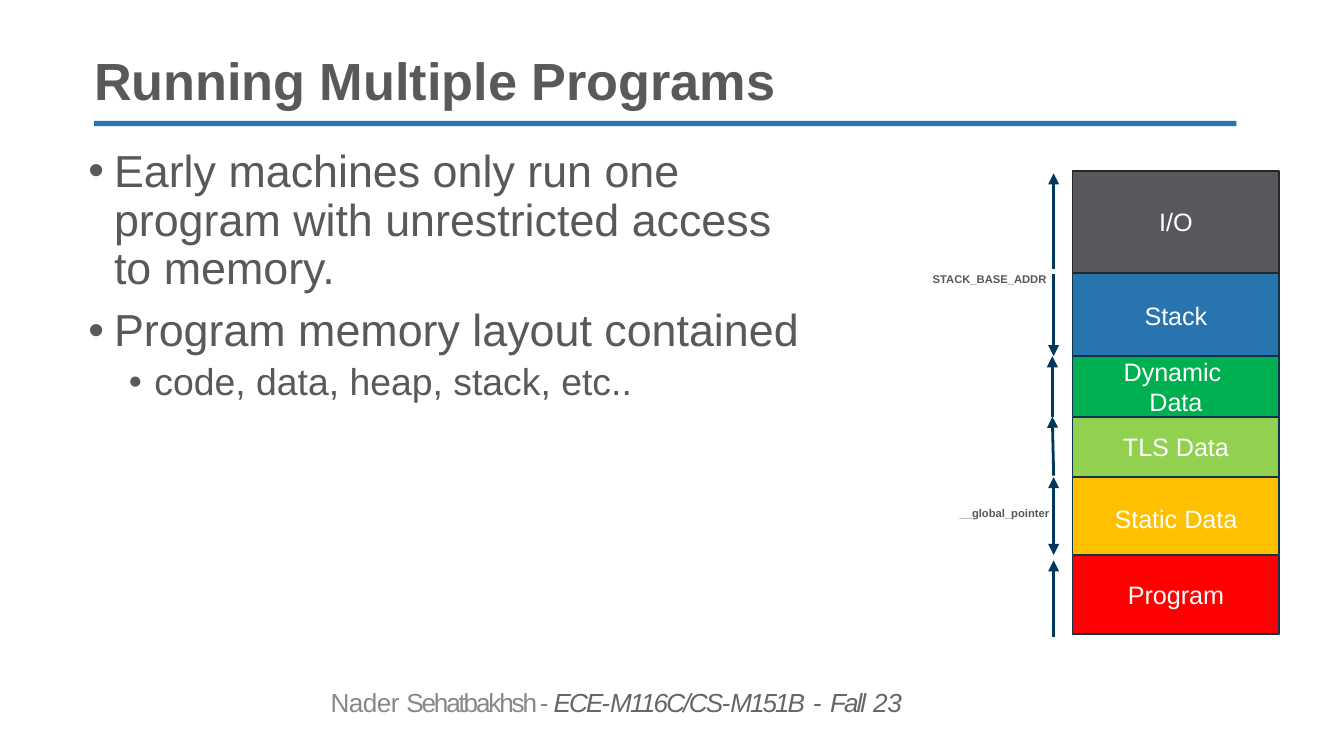
"""Build a slide on running multiple programs with a memory layout diagram."""
from typing import NamedTuple

from lxml.etree import SubElement
from pptx import Presentation
from pptx.dml.color import RGBColor
from pptx.enum.shapes import MSO_CONNECTOR, MSO_SHAPE
from pptx.enum.text import MSO_ANCHOR, MSO_AUTO_SIZE, PP_ALIGN
from pptx.oxml.ns import qn
from pptx.util import Inches, Pt

COLORS = {
    "text": "58595B", "label": "57585B", "author": "888888", "course": "666666",
    "white": "FFFFFF", "blue": "2774AE", "green": "00B050", "lime": "92D050",
    "amber": "FFC000", "red": "FF0000", "border": "11334C", "io_border": "262728",
    "arrow": "00375B",
}
FONT = "Arial"
REGION_LEFT, REGION_WIDTH = 7.98, 1.54


class Region(NamedTuple):
    """A block of memory in the layout."""
    lines: tuple[str, ...]
    top: float
    height: float
    fill: str
    border: str = "border"


class Arrow(NamedTuple):
    """A growth arrow beside the layout."""
    start: tuple[float, float]
    end: tuple[float, float]
    double: bool = False


class Bullet(NamedTuple):
    """A bulleted statement."""
    text: str
    size: float
    level: int
    indent: float
    before: float


class Span(NamedTuple):
    """A footer piece with its letter spacing in points."""
    text: str
    spacing: float
    color: str = "course"
    italic: bool = True


REGIONS = [
    Region(("Stack",), 2.03, 0.63, "blue"),
    Region(("Dynamic ", "Data"), 2.65, 0.45, "green"),
    Region(("Static Data",), 3.55, 0.62, "amber"),
    Region(("Program",), 4.13, 0.59, "red"),
    Region(("I/O",), 1.27, 0.76, "label", "io_border"),
    Region(("TLS Data",), 3.1, 0.45, "lime"),
]
ARROWS = [
    Arrow((7.84, 3.55), (7.84, 4.13), double=True),
    Arrow((7.83, 3.1), (7.83, 2.65)),
    Arrow((7.84, 2.04), (7.84, 2.65)),
    Arrow((7.84, 2), (7.84, 1.29)),
    Arrow((7.84, 4.74), (7.84, 4.17)),
    Arrow((7.84, 3.54), (7.83, 3.1)),
]
BULLETS = [
    Bullet("Early machines only run one program with unrestricted access to memory.", 24, 0, 0.19, 0),
    Bullet("Program memory layout contained", 24, 0, 0.19, 7.5),
    Bullet("code, data, heap, stack, etc..", 20, 1, 0.49, 3.8),
]
FOOTER = [
    Span("Nader ", -0.3, "author", False),
    Span("Sehatbakhsh - ", -1.2, "author", False),
    Span("ECE-", -1.1),
    Span("M116C/CS-", -1),
    Span("M151B", -1.1),
    Span(" - ", 0.3),
    Span("Fall", -1.1),
    Span(" 23", -0.2),
]
ADDRESS_LABELS = [("STACK_BASE_ADDR", 6.94, 2.03), ("__global_pointer", 7.14, 3.77)]


def rgb(name: str) -> RGBColor:
    """Look up a named colour."""
    return RGBColor.from_string(COLORS[name])


def add_text(paragraph, text: str, *, size: float, color: str = "text",
             bold: bool = False, italic: bool = False, spacing: float = 0) -> None:
    """Append a formatted run to a paragraph."""
    run = paragraph.add_run()
    run.text = text
    run.font.name = FONT
    run.font.size = Pt(size)
    run.font.bold = bold
    run.font.italic = italic
    run.font.color.rgb = rgb(color)
    if spacing:
        run._r.get_or_add_rPr().set("spc", str(round(spacing * 100)))


def add_frame(slide, left: float, top: float, width: float, height: float,
              insets: tuple[float, float, float, float] = (0, 0, 0, 0), grow: bool = True):
    """Add a wrapping text box and return its text frame."""
    box = slide.shapes.add_textbox(Inches(left), Inches(top), Inches(width), Inches(height))
    frame = box.text_frame
    frame.word_wrap = True
    frame.auto_size = MSO_AUTO_SIZE.SHAPE_TO_FIT_TEXT if grow else MSO_AUTO_SIZE.NONE
    frame.margin_left, frame.margin_top, frame.margin_right, frame.margin_bottom = map(Inches, insets)
    return frame


def add_block(slide, left: float, top: float, width: float, height: float, fill: str):
    """Add a flat filled rectangle without outline."""
    block = slide.shapes.add_shape(
        MSO_SHAPE.RECTANGLE, Inches(left), Inches(top), Inches(width), Inches(height))
    block.shadow.inherit = False
    block.fill.solid()
    block.fill.fore_color.rgb = rgb(fill)
    block.line.fill.background()
    return block


def add_region(slide, region: Region) -> None:
    """Draw one memory region with its centred name."""
    block = add_block(slide, REGION_LEFT, region.top, REGION_WIDTH, region.height, region.fill)
    block.line.color.rgb = rgb(region.border)
    block.line.width = Pt(1)
    frame = block.text_frame
    frame.word_wrap = True
    frame.vertical_anchor = MSO_ANCHOR.MIDDLE
    for index, line in enumerate(region.lines):
        paragraph = frame.add_paragraph() if index else frame.paragraphs[0]
        paragraph.alignment = PP_ALIGN.CENTER
        add_text(paragraph, line, size=13.5, color="white")


def add_arrow(slide, arrow: Arrow) -> None:
    """Draw a line with one or two triangular heads."""
    points = map(Inches, arrow.start + arrow.end)
    connector = slide.shapes.add_connector(MSO_CONNECTOR.STRAIGHT, *points)
    connector.line.color.rgb = rgb("arrow")
    connector.line.width = Pt(1.5)
    outline = connector.line._get_or_add_ln()
    for tag in ("a:headEnd", "a:tailEnd") if arrow.double else ("a:tailEnd",):
        SubElement(outline, qn(tag), type="triangle")
    SubElement(connector._element.spPr, qn("a:effectLst"))


def add_bullet(paragraph, bullet: Bullet) -> None:
    """Fill a paragraph with a bulleted statement."""
    properties = paragraph._p.get_or_add_pPr()
    properties.set("marL", str(Inches(bullet.indent)))
    properties.set("indent", str(Inches(-0.19)))
    SubElement(properties, qn("a:buFont"), typeface=FONT)
    SubElement(properties, qn("a:buChar"), char="•")
    paragraph.level = bullet.level
    paragraph.line_spacing = 0.9
    paragraph.space_before = Pt(bullet.before)
    add_text(paragraph, bullet.text, size=bullet.size)


def main() -> None:
    """Assemble and save the slide."""
    deck = Presentation()
    deck.slide_width = Inches(10)
    deck.slide_height = deck.slide_width * 9 // 16
    slide = deck.slides.add_slide(deck.slide_layouts[6])

    add_block(slide, 0.7, 0.9, 8.5, 0.04, "blue")
    title = add_frame(slide, 0.7, 0.41, 8.5, 0.42)
    title.vertical_anchor = MSO_ANCHOR.BOTTOM
    title.paragraphs[0].line_spacing = 0.9
    add_text(title.paragraphs[0], "Running Multiple Programs", size=28, bold=True)

    body = add_frame(slide, 0.56, 1.06, 5.49, 3.8, (0.1, 0.05, 0.1, 0.05), grow=False)
    for index, bullet in enumerate(BULLETS):
        add_bullet(body.add_paragraph() if index else body.paragraphs[0], bullet)

    footer = add_frame(slide, 2.45, 5.08, 4.56, 0.26, (0.01, 0.03, 0, 0))
    for span in FOOTER:
        add_text(footer.paragraphs[0], span.text, size=14, color=span.color,
                 italic=span.italic, spacing=span.spacing)

    for region in REGIONS:
        add_region(slide, region)
    for arrow in ARROWS:
        add_arrow(slide, arrow)
    for name, left, top in ADDRESS_LABELS:
        label = add_frame(slide, left, top, 0.9, 0.1)
        add_text(label.paragraphs[0], name, size=6, color="label", bold=True)

    deck.save("out.pptx")


if __name__ == "__main__":
    main()
